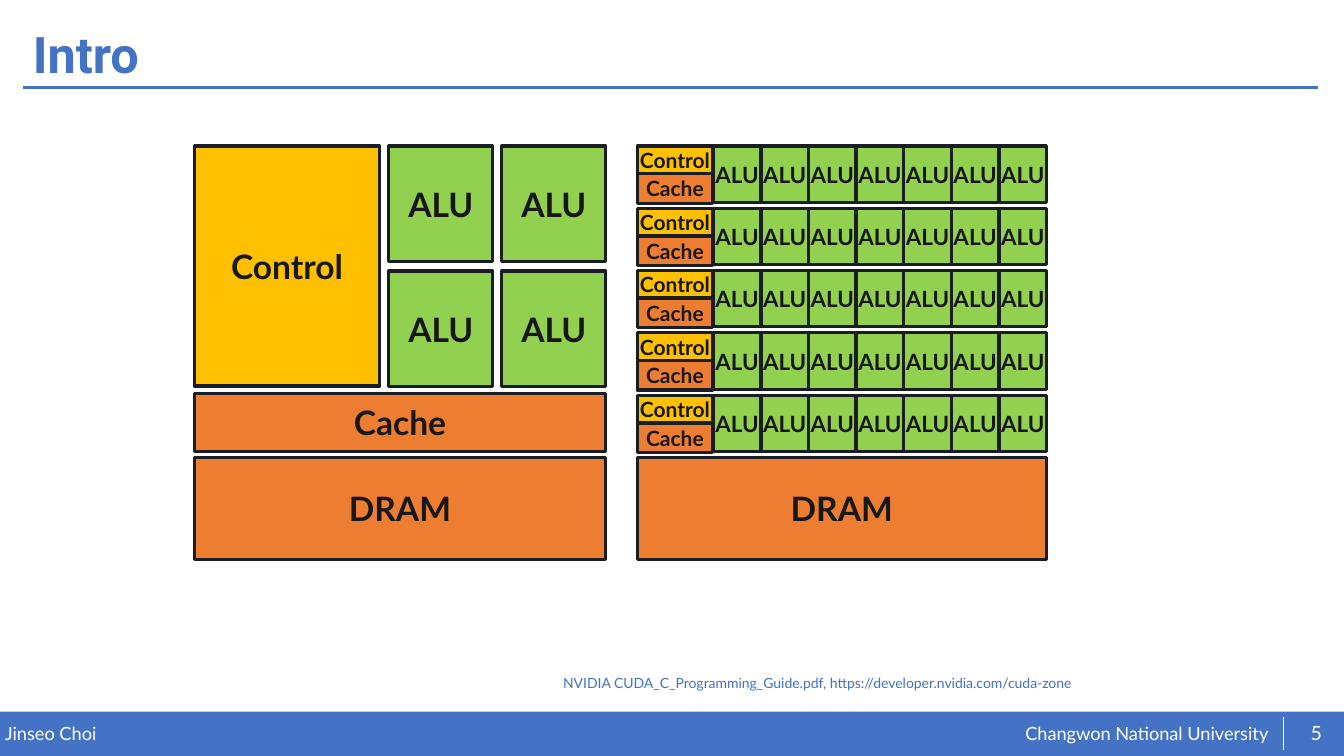
from dataclasses import dataclass

from lxml.etree import SubElement
from pptx import Presentation
from pptx.dml.color import RGBColor
from pptx.enum.shapes import MSO_CONNECTOR, MSO_SHAPE
from pptx.enum.text import MSO_ANCHOR, PP_ALIGN
from pptx.oxml.ns import qn
from pptx.util import Cm, Pt


@dataclass(frozen=True)
class Theme:
    blue: str = "4472C4"
    white: str = "FFFFFF"
    orange: str = "ED7D31"
    yellow: str = "FFC000"
    green: str = "92D050"
    outline: str = "1A1D21"
    ink: str = "181717"
    body_font: str = "Lato"
    title_font: str = "Roboto"
    title: int = 36
    block: int = 24
    small_alu: int = 16
    small_label: int = 15
    page: int = 14
    footer: int = 13
    source: int = 10
    border: float = 2.25


T = Theme()

TITLE = "Intro"
AUTHOR = "Jinseo Choi"
UNIVERSITY = "Changwon National University"
PAGE = "5"
SOURCE = "NVIDIA CUDA_C_Programming_Guide.pdf, https://developer.nvidia.com/cuda-zone"

LARGE_BLOCKS = [
    ("DRAM", T.orange, (4.9, 11.53, 10.36, 2.57)),
    ("DRAM", T.orange, (16.06, 11.53, 10.31, 2.57)),
    ("Cache", T.orange, (4.9, 9.91, 10.36, 1.47)),
    ("Control", T.yellow, (4.9, 3.68, 4.67, 6.05)),
]
TOP = 3.68
CPU = {"rows": 2, "cols": 2, "left": 9.8, "dx": 2.85, "dy": 3.15, "size": (2.62, 2.92)}
GPU = {"rows": 5, "cols": 7, "left": 17.98, "dx": 1.2, "dy": 1.57, "size": (1.19, 1.42)}
ROW_LABELS = [("Control", T.yellow, 0, 0.69), ("Cache", T.orange, 0.7, 0.74)]
ROW_LABEL_LEFT, ROW_LABEL_WIDTH = 16.06, 1.9

prs = Presentation()
prs.slide_width, prs.slide_height = Cm(33.87), Cm(19.05)
slide = prs.slides.add_slide(prs.slide_layouts[6])


def rgb(color):
    return RGBColor.from_string(color)


def write(sp, text, size, color, font=T.body_font, bold=False,
          align=PP_ALIGN.LEFT, anchor=MSO_ANCHOR.TOP, inset=True):
    tf = sp.text_frame
    tf.word_wrap = True
    tf.vertical_anchor = anchor
    if not inset:
        tf.margin_left = tf.margin_right = tf.margin_top = tf.margin_bottom = 0
    tf.text = text
    p = tf.paragraphs[0]
    p.alignment = align
    f = p.runs[0].font
    f.name, f.size, f.bold = font, Pt(size), bold
    f.color.rgb = rgb(color)
    return p


def add_text(box, text, size, color, **style):
    sp = slide.shapes.add_textbox(*map(Cm, box))
    return write(sp, text, size, color, **style)


def add_rect(box, fill):
    sp = slide.shapes.add_shape(MSO_SHAPE.RECTANGLE, *map(Cm, box))
    sp.shadow.inherit = False
    sp.fill.solid()
    sp.fill.fore_color.rgb = rgb(fill)
    return sp


def add_block(box, text, fill, size=T.block, inset=True):
    sp = add_rect(box, fill)
    sp.line.color.rgb = rgb(T.outline)
    sp.line.width = Pt(T.border)
    write(sp, text, size, T.ink, bold=True, align=PP_ALIGN.CENTER,
          anchor=MSO_ANCHOR.MIDDLE, inset=inset)


def add_line(ends, color, width):
    cn = slide.shapes.add_connector(MSO_CONNECTOR.STRAIGHT, *map(Cm, ends))
    cn.line.color.rgb = rgb(color)
    cn.line.width = Pt(width)
    SubElement(cn._element.spPr, qn("a:effectLst"))


def add_alus(grid, size, inset):
    for row in range(grid["rows"]):
        for col in range(grid["cols"]):
            x = grid["left"] + col * grid["dx"]
            y = TOP + row * grid["dy"]
            add_block((x, y, *grid["size"]), "ALU", T.green, size, inset)


add_rect((0, 17.93, 33.87, 1.12), T.blue).line.fill.background()
add_text((25.84, 18.19, 6.77, 0.58), UNIVERSITY, T.footer, T.white, inset=False)
add_text((0.13, 18.21, 16.64, 0.56), AUTHOR, T.footer, T.white, inset=False)
add_line((0.58, 2.21, 33.22, 2.21), T.blue, 2)
add_line((32.33, 18.06, 32.33, 18.9), T.white, 0.5)
title = add_text((0.58, 0.46, 32.66, 1.96), TITLE, T.title, T.blue,
                 font=T.title_font, bold=True, anchor=MSO_ANCHOR.MIDDLE)
title.line_spacing = 0.9
add_text((32.56, 17.96, 1.22, 1.02), PAGE, T.page, T.white,
         align=PP_ALIGN.CENTER, anchor=MSO_ANCHOR.MIDDLE, inset=False)
add_text((13.94, 16.87, 17.02, 0.69), SOURCE, T.source, T.blue)

for label, fill, box in LARGE_BLOCKS:
    add_block(box, label, fill)
add_alus(CPU, T.block, True)
add_alus(GPU, T.small_alu, False)
for row in range(GPU["rows"]):
    for label, fill, offset, height in ROW_LABELS:
        y = TOP + row * GPU["dy"] + offset
        add_block((ROW_LABEL_LEFT, y, ROW_LABEL_WIDTH, height), label, fill,
                  T.small_label, False)

prs.save("out.pptx")
